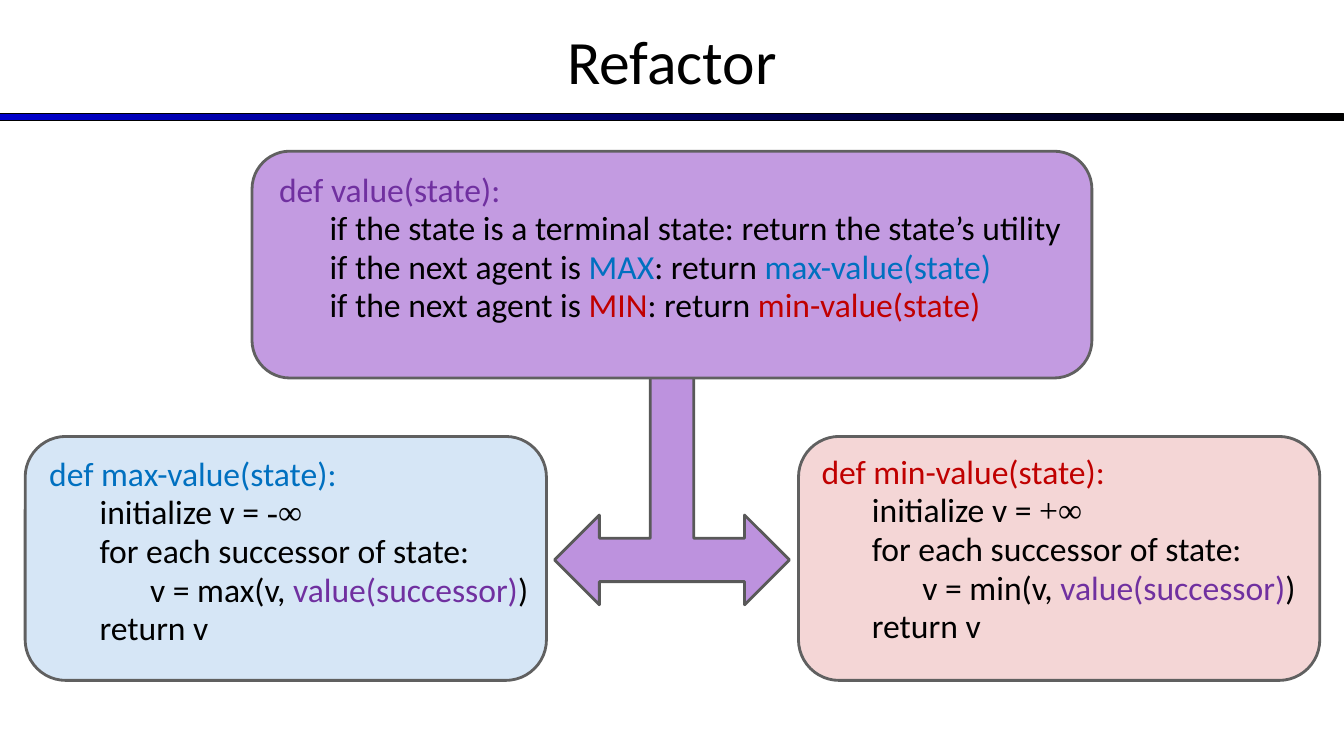
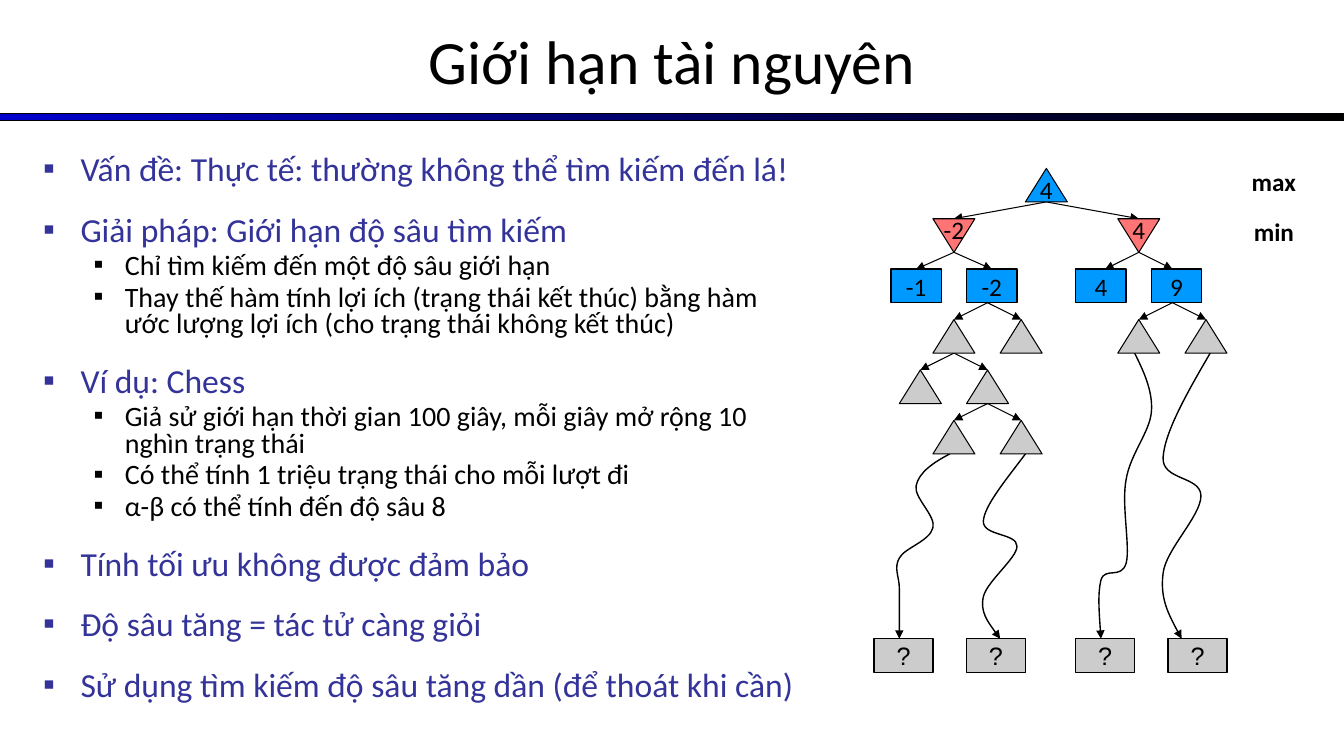
from lxml import etree
from pptx import Presentation
from pptx.dml.color import RGBColor
from pptx.enum.shapes import MSO_CONNECTOR, MSO_SHAPE as Kind
from pptx.enum.text import MSO_ANCHOR as Anchor, PP_ALIGN as Align
from pptx.oxml.ns import qn
from pptx.util import Inches, Pt

# Shared look
WIDTH, HEIGHT = 13.33, 7.5
FONT = "Calibri"
BLACK, NAVY, PURPLE = "000000", "333399", "7030A0"
MAX_BLUE, MIN_RED = "0070C0", "C00000"
NODE_BLUE, NODE_RED, NODE_GRAY = "0099FF", "FF7575", "CCCCCC"
BOX_EDGE, ARROW_EDGE = "606060", "595959"


def color(value):
    return RGBColor.from_string(value)


def inches(*values):
    return [Inches(value) for value in values]


def add_runs(para, runs, size, bold=False):
    """Each run is (text, colour) or (text, colour, font)."""
    for text, ink, *font in runs:
        span = para.add_run()
        span.text = text
        span.font.size, span.font.bold = Pt(size), bold
        span.font.name = font[0] if font else FONT
        span.font.color.rgb = color(ink)


def set_frame(frame, anchor, insets, wrap):
    frame.word_wrap, frame.vertical_anchor = wrap, anchor
    (frame.margin_left, frame.margin_top,
     frame.margin_right, frame.margin_bottom) = inches(*insets)


def add_text(page, box, anchor=Anchor.TOP):
    frame = page.shapes.add_textbox(*inches(*box)).text_frame
    set_frame(frame, anchor, (0.1, 0.05, 0.1, 0.05), True)
    return frame


def add_label(page, box, text, size, bold=False):
    para = add_text(page, box, Anchor.MIDDLE).paragraphs[0]
    para.alignment = Align.CENTER
    add_runs(para, [(text, BLACK)], size, bold)


def add_shape(page, kind, box, fill, edge=BLACK, weight=0.75, alpha=None):
    shape = page.shapes.add_shape(kind, *inches(*box))
    shape.shadow.inherit = False
    shape.fill.solid()
    shape.fill.fore_color.rgb = color(fill)
    shape.line.color.rgb, shape.line.width = color(edge), Pt(weight)
    if alpha:
        paint = shape._element.spPr.find(qn("a:solidFill"))[0]
        etree.SubElement(paint, qn("a:alpha"), val=str(alpha * 1000))
    return shape


def add_arrowhead(line):
    etree.SubElement(line.line._get_or_add_ln(), qn("a:tailEnd"), type="triangle")


def next_para(frame, first):
    return frame.paragraphs[0] if first else frame.add_paragraph()


def add_page(deck, title):
    """Blank page with the shared rule and title."""
    page = deck.slides.add_slide(deck.slide_layouts[6])
    rule = add_shape(page, Kind.RECTANGLE, (0, 1.13, WIDTH, 0.07), BLACK)
    rule.fill.gradient()
    rule.fill.gradient_angle = 0
    for stop, (place, ink) in zip(rule.fill.gradient_stops,
                                  ((0, "0000CC"), (1, BLACK))):
        stop.position, stop.color.rgb = place, color(ink)
    add_label(page, (0, -0.03, WIDTH, 1.25), title, 44)
    return page


# Slide 1: three functions that call each other
def add_code(page, box, fill, alpha, inset, lines):
    """Rounded box with code; lines are (indent level, runs)."""
    left, top, width, height = box
    add_shape(page, Kind.ROUNDED_RECTANGLE, box, fill, BOX_EDGE, 2, alpha)
    across, down = inset
    frame = add_text(page, (left + across, top + down, width, height - down))
    for index, (level, runs) in enumerate(lines):
        para = next_para(frame, index == 0)
        para.line_spacing = 0.8
        if index:
            para.space_before = Pt(4.5)
        para._p.get_or_add_pPr().set("marL", str(Inches(level * 0.5)))
        add_runs(para, runs, 24)


def agent_lines(name, ink, start):
    """Code of max-value or min-value."""
    return [
        (0, [(f"def {name}-value(state):", ink)]),
        (1, [("initialize v = ", BLACK), (start, BLACK, "Times New Roman")]),
        (1, [("for each successor of state:", BLACK)]),
        (2, [(f"v = {name}(v, ", BLACK), ("value(successor)", PURPLE), (")", BLACK)]),
        (1, [("return v", BLACK)]),
    ]


def agent_case(name, ink):
    return (1, [("if the next agent is ", BLACK), (name.upper(), ink),
                (": return ", BLACK), (f"{name}-value(state)", ink)])


def build_refactor(deck):
    page = add_page(deck, "Refactor")
    arrow = add_shape(page, Kind.LEFT_RIGHT_UP_ARROW, (5.5, 3.17, 2.33, 2.83),
                      "BD92DE", ARROW_EDGE, 2)
    for index, share in enumerate((0.185, 0.191, 0.191)):
        arrow.adjustments[index] = share
    add_code(page, (2.5, 1.5, 8.33, 2.25), "C39BE1", None, (0.17, 0.2), [
        (0, [("def value(state):", PURPLE)]),
        (1, [("if the state is a terminal state: return the state’s utility", BLACK)]),
        agent_case("max", MAX_BLUE),
        agent_case("min", MIN_RED),
    ])
    add_code(page, (0.25, 4.33, 5.17, 2.42), "0066CC", 16, (0.14, 0.19),
             agent_lines("max", MAX_BLUE, "-∞"))
    add_code(page, (7.92, 4.33, 5.17, 2.42), MIN_RED, 16, (0.13, 0.17),
             agent_lines("min", MIN_RED, "+∞"))


# Slide 2: bullets and a depth-limited game tree
# Per level: size, colour, left margin, hanging indent, space before
LEVELS = ((24, NAVY, 0.37, 0.37, 20.3), (20, BLACK, 0.81, 0.31, 3.4))

BULLETS = (
    (0, "Vấn đề: Thực tế: thường không thể tìm kiếm đến lá!"),
    (0, "Giải pháp: Giới hạn độ sâu tìm kiếm"),
    (1, "Chỉ tìm kiếm đến một độ sâu giới hạn"),
    (1, "Thay thế hàm tính lợi ích (trạng thái kết thúc) bằng hàm "
        "ước lượng lợi ích (cho trạng thái không kết thúc)"),
    (0, "Ví dụ: Chess"),
    (1, "Giả sử giới hạn thời gian 100 giây, mỗi giây mở rộng 10 nghìn trạng thái"),
    (1, "Có thể tính 1 triệu trạng thái cho mỗi lượt đi"),
    (1, "α-β có thể tính đến độ sâu 8"),
    (0, "Tính tối ưu không được đảm bảo"),
    (0, "Độ sâu tăng = tác tử càng giỏi"),
    (0, "Sử dụng tìm kiếm độ sâu tăng dần (để thoát khi cần)"),
)

# Tree places are (column, row) on a grid of 42 by 30
COLUMNS, ROWS = 42, 30
EDGES = {(20.5, 2): (9.5, 31.5), (9.5, 5): (5, 14), (31.5, 5): (27.5, 35.5),
         (13.5, 8): (9.5, 17.5), (35.5, 8): (31.5, 39.5),
         (9.5, 11): (5.5, 13.5), (13.5, 14): (9.5, 17.5)}
GRAY_NODES = {9: (9.5, 17.5, 31.5, 39.5), 12: (5.5, 13.5), 15: (9.5, 17.5)}
LEAVES = ((5, "-1"), (14, "-2"), (27, "4"), (36, "9"))
UNKNOWNS = (3.5, 14.5, 27.5, 38.5)
# Each curve: a start, then triples of Bézier points
CURVES = (
    ((9, 17), (7.1, 17.5), (5.3, 18.1), (5, 18.9), (4.7, 19.6), (7.4, 20.7),
     (7, 21.4), (6.6, 22.2), (3.6, 22.6), (3, 23.2), (2.3, 23.8), (3, 24.3),
     (3, 25), (3, 25.9), (3, 27), (3, 28)),
    ((18, 17), (15.6, 18.6), (13.1, 20.1), (13, 21), (12.9, 21.9), (17, 21.7),
     (17, 22.5), (17, 23.2), (13.4, 24.6), (13, 25.5), (12.6, 26.4),
     (13.8, 27.2), (15, 28)),
    ((40, 11), (37.2, 13.4), (34.6, 15.7), (34.4, 17.2), (34.2, 18.6),
     (38.9, 18.3), (38.9, 19.5), (38.9, 20.7), (34.7, 22.7), (34.4, 24.1),
     (34, 25.6), (35.3, 26.8), (36.6, 28)),
    ((31, 11), (32.1, 12.1), (33.2, 13.3), (33, 14.5), (32.8, 15.7), (30.5, 17),
     (30, 18.5), (29.4, 20), (30.5, 22.5), (30, 23.5), (29.4, 24.5),
     (27.5, 23.7), (27, 24.5), (26.6, 25.3), (26.8, 26.6), (27, 28)),
)


def add_bullets(page, box):
    frame = add_text(page, box)
    for index, (level, text) in enumerate(BULLETS):
        size, ink, margin, hanging, gap = LEVELS[level]
        para = next_para(frame, index == 0)
        para.line_spacing = 0.8
        if index:
            para.space_before = Pt(gap)
        props = para._p.get_or_add_pPr()
        props.set("marL", str(Inches(margin)))
        props.set("indent", str(-Inches(hanging)))
        paint = etree.SubElement(props, qn("a:buClr"))
        etree.SubElement(paint, qn("a:srgbClr"), val=ink)
        etree.SubElement(props, qn("a:buFont"), typeface="Arial")
        etree.SubElement(props, qn("a:buChar"), char="▪")
        add_runs(para, [(text, ink)], size)


def add_curve(page, points):
    """Bézier curve through the points, ending in an arrowhead."""
    start, *rest = [tuple(inches(*point)) for point in points]
    builder = page.shapes.build_freeform(*start)
    builder.add_line_segments(rest, close=False)
    curve = builder.convert_to_shape()
    curve.shadow.inherit = False
    curve.fill.background()
    curve.line.color.rgb, curve.line.width = color(BLACK), Pt(1)
    add_arrowhead(curve)
    # Turn every three straight steps into one cubic step
    outline = curve._element.xpath(".//a:path")[0]
    steps = outline.findall(qn("a:lnTo"))
    for index, step in enumerate(steps):
        if index % 3 == 0:
            cubic = etree.SubElement(outline, qn("a:cubicBezTo"))
        cubic.append(step[0])
        outline.remove(step)


def add_tree(page, box):
    left, top, width, height = box

    def place(column, row):
        return left + width * column / COLUMNS, top + height * row / ROWS

    def add_node(kind, column, row, span, fill, text="", weight=0.75,
                 font=FONT, insets=(0, 0, 0, 0)):
        area = (*place(column - span / 2, row),
                width * span / COLUMNS, height * 2 / ROWS)
        node = add_shape(page, kind, area, fill, weight=weight)
        if text:
            set_frame(node.text_frame, Anchor.MIDDLE, insets, False)
            para = node.text_frame.paragraphs[0]
            para.alignment = Align.CENTER
            add_runs(para, [(text, BLACK, font)], 18)

    # Edges
    for (column, row), children in EDGES.items():
        for child in children:
            ends = inches(*place(column, row), *place(child, row + 1))
            edge = page.shapes.add_connector(MSO_CONNECTOR.STRAIGHT, *ends)
            edge.line.color.rgb, edge.line.width = color(BLACK), Pt(0.75)
            add_arrowhead(edge)
            etree.SubElement(edge._element.spPr, qn("a:effectLst"))
    for points in CURVES:
        add_curve(page, [place(*point) for point in points])

    # Nodes
    add_node(Kind.ISOSCELES_TRIANGLE, 20.5, 0, 5, NODE_BLUE, "4",
             insets=(0, 0, 0, 0.09))
    for column, text in ((9.5, "-2"), (31.5, "4")):
        add_node(Kind.FLOWCHART_MERGE, column, 3, 5, NODE_RED, text,
                 insets=(0, 0.04, 0, 0))
    for column, text in LEAVES:
        add_node(Kind.RECTANGLE, column, 6, 6, NODE_BLUE, text, 1)
    for row, columns in GRAY_NODES.items():
        for column in columns:
            add_node(Kind.ISOSCELES_TRIANGLE, column, row, 5, NODE_GRAY)
    for column in UNKNOWNS:
        add_node(Kind.RECTANGLE, column, 28, 7, NODE_GRAY, "?", 1, "Arial")


def build_limits(deck):
    page = add_page(deck, "Giới hạn tài nguyên")
    add_bullets(page, (0.33, 1.5, 7.75, 5.83))
    add_tree(page, (8.67, 1.67, 3.5, 5))
    for index, text in enumerate(("max", "min")):
        add_label(page, (12.27, 1.6 + index * 0.5, 0.73, 0.4), text, 18, True)


def main():
    deck = Presentation()
    deck.slide_width, deck.slide_height = inches(WIDTH, HEIGHT)
    build_refactor(deck)
    build_limits(deck)
    deck.save("out.pptx")


if __name__ == "__main__":
    main()
